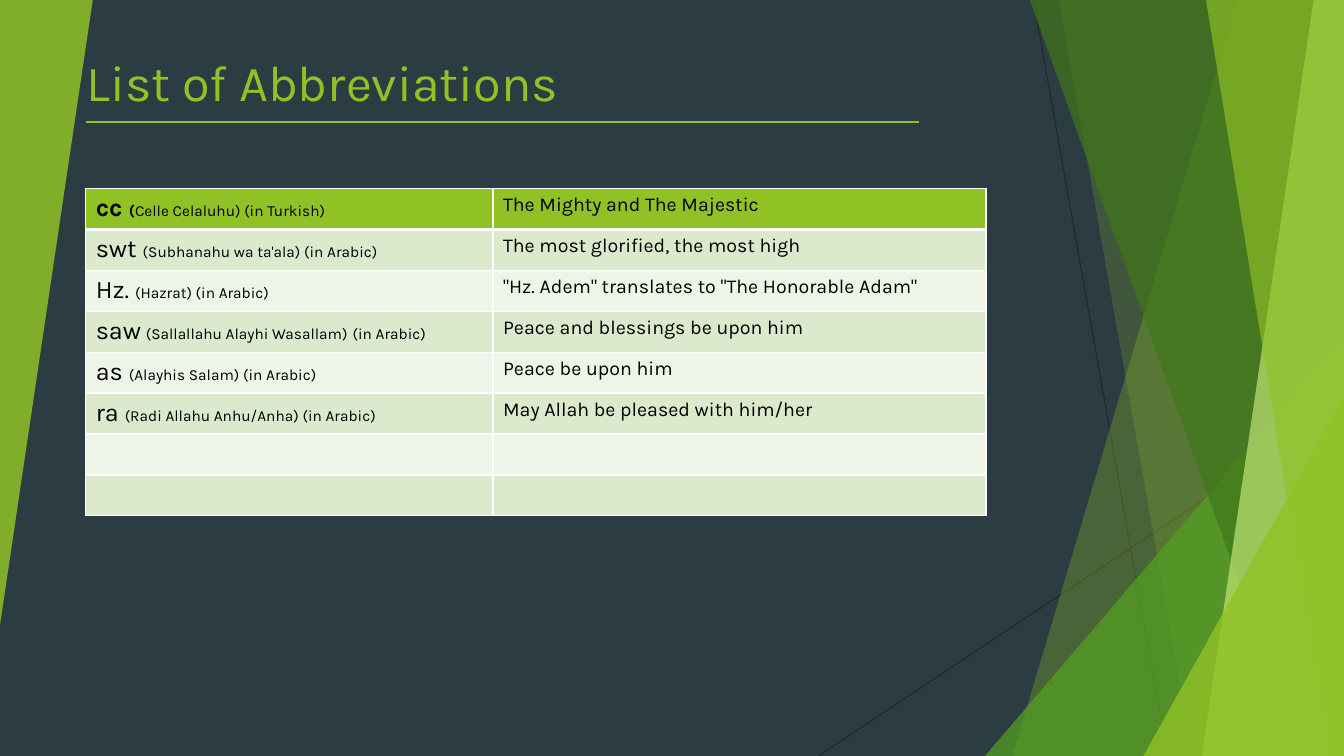
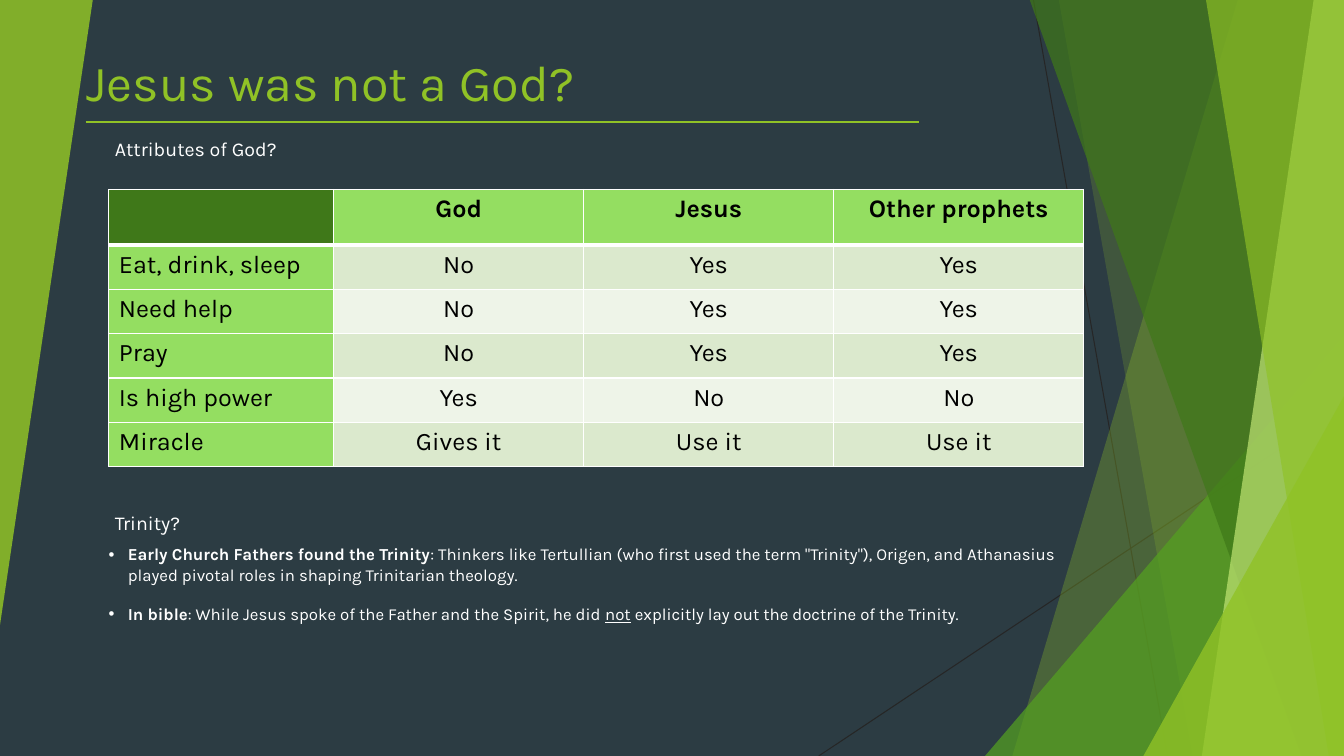
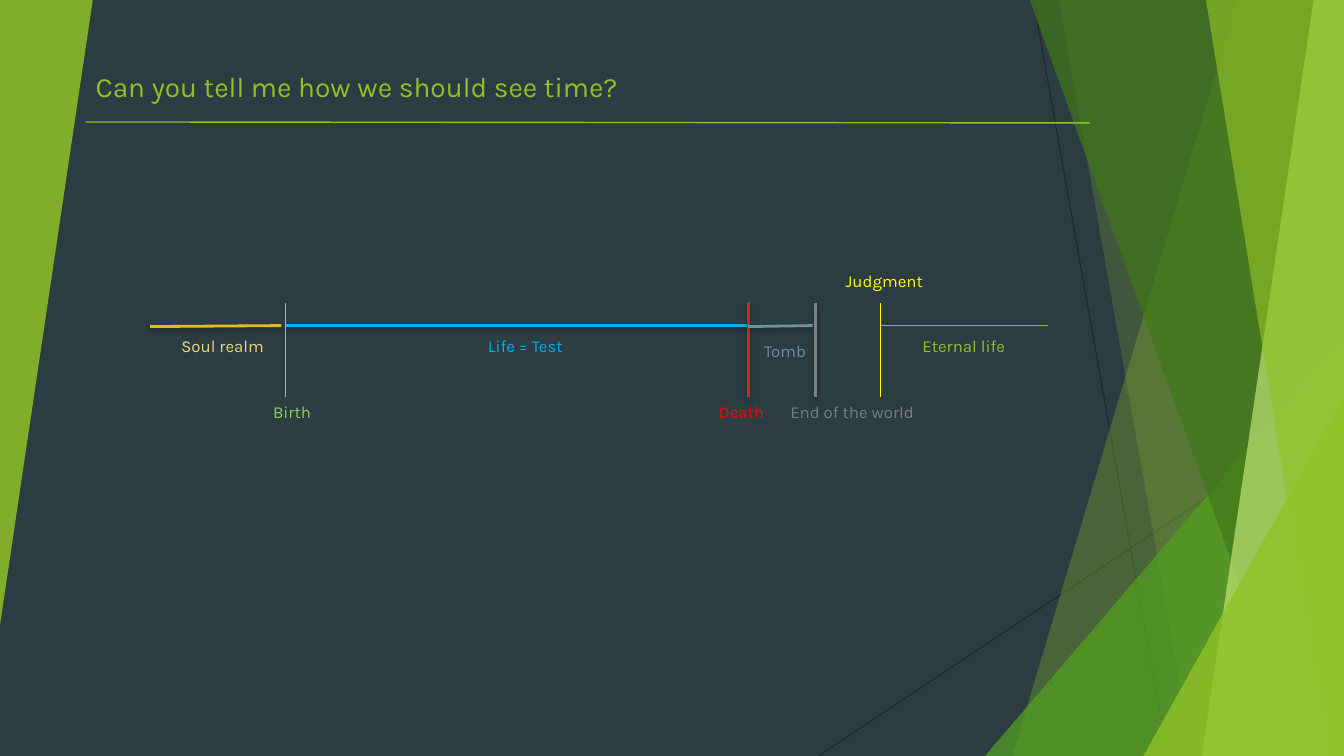
from typing import NamedTuple

from lxml.etree import SubElement
from pptx import Presentation
from pptx.dml.color import RGBColor
from pptx.enum.shapes import MSO_CONNECTOR, MSO_SHAPE
from pptx.enum.text import MSO_ANCHOR, PP_ALIGN
from pptx.oxml.ns import qn
from pptx.util import Inches, Pt

WIDTH, HEIGHT = 13.33, 7.5
FONT = "Karla"

SLATE = RGBColor(0x2C, 0x3C, 0x43)
CHARCOAL = RGBColor(0x26, 0x26, 0x26)
BLACK = RGBColor(0x00, 0x00, 0x00)
WHITE = RGBColor(0xFF, 0xFF, 0xFF)
LIME = RGBColor(0x90, 0xC2, 0x26)
LEAF = RGBColor(0x54, 0xA0, 0x21)
FOREST = RGBColor(0x3F, 0x78, 0x19)
PALE_LIME = RGBColor(0xC0, 0xE4, 0x74)
MINT = RGBColor(0x94, 0xDE, 0x61)
ROW_DARK = RGBColor(0xDB, 0xE9, 0xCD)
ROW_LIGHT = RGBColor(0xEE, 0xF4, 0xE8)
BLUE = RGBColor(0x00, 0xB0, 0xF0)
GREEN = RGBColor(0x92, 0xD0, 0x50)
BRICK = RGBColor(0xC4, 0x2F, 0x1A)
RED = RGBColor(0xFF, 0x00, 0x00)
GOLD = RGBColor(0xE6, 0xB9, 0x1E)
SAND = RGBColor(0xF0, 0xD5, 0x78)
STEEL = RGBColor(0x6E, 0x91, 0xA0)
GRAY = RGBColor(0x80, 0x80, 0x80)
LABEL_GRAY = RGBColor(0x7D, 0x7D, 0x7D)
YELLOW = RGBColor(0xFF, 0xFF, 0x00)


class Run(NamedTuple):
    text: str
    size: int
    bold: bool = False
    underline: bool = False


class Deck:
    def __init__(self):
        self.prs = Presentation()
        self.prs.slide_width = Inches(WIDTH)
        self.prs.slide_height = Inches(HEIGHT)
        self.s = None

    def slide(self, title, width, left=0.76, top=0.46, height=0.7, size=36, rule_end=(9.11, 1.21)):
        self.s = self.prs.slides.add_slide(self.prs.slide_layouts[6])
        fill = self.s.background.fill
        fill.solid()
        fill.fore_color.rgb = SLATE
        self.backdrop()
        self.text(left, top, width, height, [Run(title, size)], LIME, MSO_ANCHOR.BOTTOM)
        self.line((0.85, 1.21), rule_end, LIME)

    def backdrop(self):
        self.line((10.25, 0), (11.58, HEIGHT), CHARCOAL, 0.75)
        self.line((WIDTH, 4.03), (8.12, HEIGHT), CHARCOAL, 0.75)
        self.band(12.28, 10.04, LIME, 30)
        self.band(10.5, 11.83, LIME, 20)
        self.triangle(9.77, 3.33, 3.56, 4.17, LEAF, 72)
        self.band(10.21, 12.91, FOREST, 70)
        self.band(13.03, 11.92, PALE_LIME, 70)
        self.band(11.96, 13.18, LIME, 65)
        self.triangle(11.34, 3.93, 1.99, 3.57, LIME, 80)
        self.triangle(0, 0, 0.92, 6.2, LIME, 85, rotation=180)

    def paint(self, sp, color, alpha):
        sp.shadow.inherit = False
        sp.line.fill.background()
        sp.fill.solid()
        sp.fill.fore_color.rgb = color
        clr = sp._element.spPr.find(qn("a:solidFill"))[0]
        SubElement(clr, qn("a:alpha"), val=str(alpha * 1000))

    def band(self, top_x, bottom_x, color, alpha):
        fb = self.s.shapes.build_freeform(Inches(top_x), Inches(-0.01))
        corners = [(WIDTH, -0.01), (WIDTH, HEIGHT), (bottom_x, HEIGHT)]
        fb.add_line_segments([(Inches(x), Inches(y)) for x, y in corners])
        self.paint(fb.convert_to_shape(), color, alpha)

    def triangle(self, left, top, width, height, color, alpha, rotation=0):
        sp = self.s.shapes.add_shape(
            MSO_SHAPE.ISOSCELES_TRIANGLE, Inches(left), Inches(top), Inches(width), Inches(height))
        sp.adjustments[0] = 1
        sp.rotation = rotation
        self.paint(sp, color, alpha)

    def line(self, start, end, color, width=1, shadow=False):
        ln = self.s.shapes.add_connector(
            MSO_CONNECTOR.STRAIGHT, *[Inches(v) for v in (*start, *end)])
        ln.line.color.rgb = color
        ln.line.width = Pt(width)
        effects = SubElement(ln._element.spPr, qn("a:effectLst"))
        if shadow:
            outer = SubElement(effects, qn("a:outerShdw"), blurRad=str(Pt(3)), dist=str(Pt(2)),
                               dir="5400000", rotWithShape="0")
            clr = SubElement(outer, qn("a:srgbClr"), val=str(BLACK))
            SubElement(clr, qn("a:alpha"), val="35000")

    def add_runs(self, p, runs, color):
        for run in runs:
            r = p.add_run()
            r.text = run.text
            f = r.font
            f.name, f.size, f.bold, f.underline = FONT, Pt(run.size), run.bold, run.underline
            f.color.rgb = color

    def frame(self, left, top, width, height, anchor=MSO_ANCHOR.TOP):
        tf = self.s.shapes.add_textbox(
            Inches(left), Inches(top), Inches(width), Inches(height)).text_frame
        tf.word_wrap = True
        tf.vertical_anchor = anchor
        return tf

    def text(self, left, top, width, height, runs, color, anchor=MSO_ANCHOR.TOP):
        self.add_runs(self.frame(left, top, width, height, anchor).paragraphs[0], runs, color)

    def bullets(self, left, top, width, height, items, color, gap):
        tf = self.frame(left, top, width, height)
        for i, runs in enumerate(items):
            p = tf.add_paragraph() if i else tf.paragraphs[0]
            if i:
                p.space_before = Pt(gap)
            pPr = p._p.get_or_add_pPr()
            pPr.set("marL", str(Inches(0.19)))
            pPr.set("indent", str(Inches(-0.19)))
            SubElement(pPr, qn("a:buFont"), typeface="Arial")
            SubElement(pPr, qn("a:buChar"), char="•")
            self.add_runs(p, runs, color)

    def border(self, cell, row):
        tcPr = cell._tc.get_or_add_tcPr()
        widths = {"L": 1, "R": 1, "T": 3 if row == 1 else 1, "B": 3 if row == 0 else 1}
        for side, width in widths.items():
            ln = SubElement(tcPr, qn(f"a:ln{side}"), w=str(Pt(width)))
            SubElement(SubElement(ln, qn("a:solidFill")), qn("a:srgbClr"), val=str(WHITE))

    def table(self, left, top, cols, heights, rows, fill_of, centered=False):
        tbl = self.s.shapes.add_table(
            len(rows), len(cols), Inches(left), Inches(top),
            Inches(sum(cols)), Inches(sum(heights))).table
        tbl.first_row = tbl.horz_banding = False
        for col, width in zip(tbl.columns, cols):
            col.width = Inches(width)
        for i, row in enumerate(rows):
            tbl.rows[i].height = Inches(heights[i])
            for j, runs in enumerate(row):
                cell = tbl.cell(i, j)
                self.border(cell, i)
                cell.fill.solid()
                cell.fill.fore_color.rgb = fill_of(i, j)
                p = cell.text_frame.paragraphs[0]
                if centered and j:
                    p.alignment = PP_ALIGN.CENTER
                self.add_runs(p, runs, BLACK)


def stripe(row):
    return ROW_DARK if row % 2 else ROW_LIGHT


def abbreviations(deck):
    deck.slide("List of Abbreviations", 5.71)
    entries = [
        ([Run("swt ", 18), Run("(Subhanahu wa ta'ala) (in Arabic)", 11)],
         "The most glorified, the most high"),
        ([Run("Hz. ", 18), Run("(Hazrat) (in Arabic)", 11)],
         '"Hz. Adem" translates to "The Honorable Adam"'),
        ([Run("saw", 18), Run(" ", 14), Run("(Sallallahu Alayhi Wasallam)", 11),
          Run(" ", 14), Run("(in Arabic)", 11)],
         "Peace and blessings be upon him"),
        ([Run("as ", 18), Run("(Alayhis Salam) (in Arabic)", 11)], "Peace be upon him"),
        ([Run("ra ", 18), Run("(Radi Allahu Anhu/Anha) (in Arabic)", 11)],
         "May Allah be pleased with him/her"),
    ]
    header = ([Run("cc ", 18, True), Run("(", 11, True), Run("Celle Celaluhu) (in Turkish)", 11)],
              "The Mighty and The Majestic")
    rows = [[term, [Run(meaning, 14)]] for term, meaning in [header, *entries]]
    rows += [[[], []]] * 2
    deck.table(0.85, 1.87, [4.04, 4.89], [3.25 / len(rows)] * len(rows), rows,
               lambda i, j: stripe(i) if i else LIME)


def attributes(deck):
    deck.slide("Jesus was not a God?", 10.64)
    deck.bullets(0.98, 5.35, 9.77, 1.1, [
        [Run("Early Church Fathers found the Trinity", 12, True),
         Run(': Thinkers like Tertullian (who first used the term "Trinity"), Origen, and '
             "Athanasius played pivotal roles in shaping Trinitarian theology.", 12)],
        [Run("In bible", 12, True),
         Run(": While Jesus spoke of the Father and the Spirit, he did ", 12),
         Run("not", 12, underline=True),
         Run(" explicitly lay out the doctrine of the Trinity.", 12)],
    ], WHITE, 14)
    deck.text(1.04, 1.31, 9.1, 0.34, [Run("Attributes of God?", 14)], WHITE)
    deck.text(1.04, 5.02, 3, 0.34, [Run("Trinity?", 14)], WHITE)
    grid = [
        ["", "God", "Jesus", "Other prophets"],
        ["Eat, drink, sleep", "No", "Yes", "Yes"],
        ["Need help", "No", "Yes", "Yes"],
        ["Pray", "No", "Yes", "Yes"],
        ["Is high power", "Yes", "No", "No"],
        ["Miracle", "Gives it", "Use it", "Use it"],
    ]
    rows = [[[Run(t, 18, i == 0)] if t else [] for t in row] for i, row in enumerate(grid)]

    def fill_of(i, j):
        if i and j:
            return stripe(i)
        return MINT if i or j else FOREST

    deck.table(1.08, 1.88, [2.23] + [2.48] * 3, [0.55] + [0.44] * 5, rows, fill_of, centered=True)


def timeline(deck):
    deck.slide("Can you tell me how we should see time?", 11.52, left=0.85, top=0.4,
               height=0.67, size=20, rule_end=(10.81, 1.22))
    for start, end, color, width, shadow in [
        ((2.83, 3.23), (7.41, 3.23), BLUE, 2, True),
        ((2.83, 3.01), (2.83, 3.94), GREEN, 1, False),
        ((7.42, 3), (7.42, 3.94), BRICK, 2, True),
        ((1.49, 3.24), (2.79, 3.23), GOLD, 2, True),
        ((7.42, 3.24), (8.06, 3.23), STEEL, 2, True),
        ((8.73, 3.23), (10.39, 3.23), LIME, 1, False),
        ((8.09, 3.01), (8.09, 3.94), GRAY, 2, True),
        ((8.73, 3.01), (8.73, 3.94), YELLOW, 1, False),
    ]:
        deck.line(start, end, color, width, shadow)
    for label, left, top, width, color in [
        ("Life = Test", 4.74, 3.28, 1.07, BLUE),
        ("Soul realm", 1.7, 3.28, 1.49, SAND),
        ("Birth", 2.61, 3.94, 0.59, GREEN),
        ("Death", 7.03, 3.94, 0.78, RED),
        ("Tomb", 7.48, 3.33, 0.78, STEEL),
        ("Eternal life", 9.05, 3.28, 1.17, LIME),
        ("End of the world", 7.74, 3.94, 1.53, LABEL_GRAY),
        ("Judgment", 8.29, 2.64, 1.53, YELLOW),
    ]:
        deck.text(left, top, width, 0.3, [Run(label, 12)], color)


def main():
    deck = Deck()
    abbreviations(deck)
    attributes(deck)
    timeline(deck)
    deck.prs.save("out.pptx")


if __name__ == "__main__":
    main()
